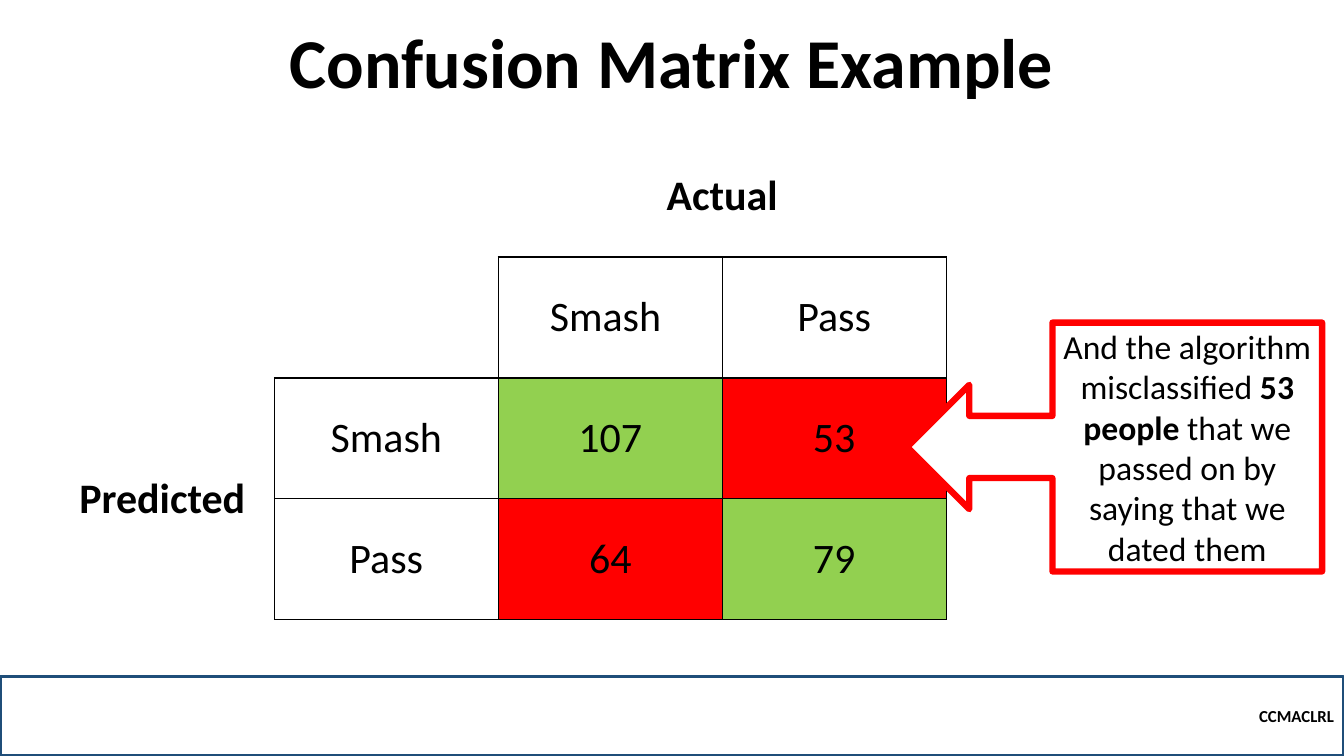
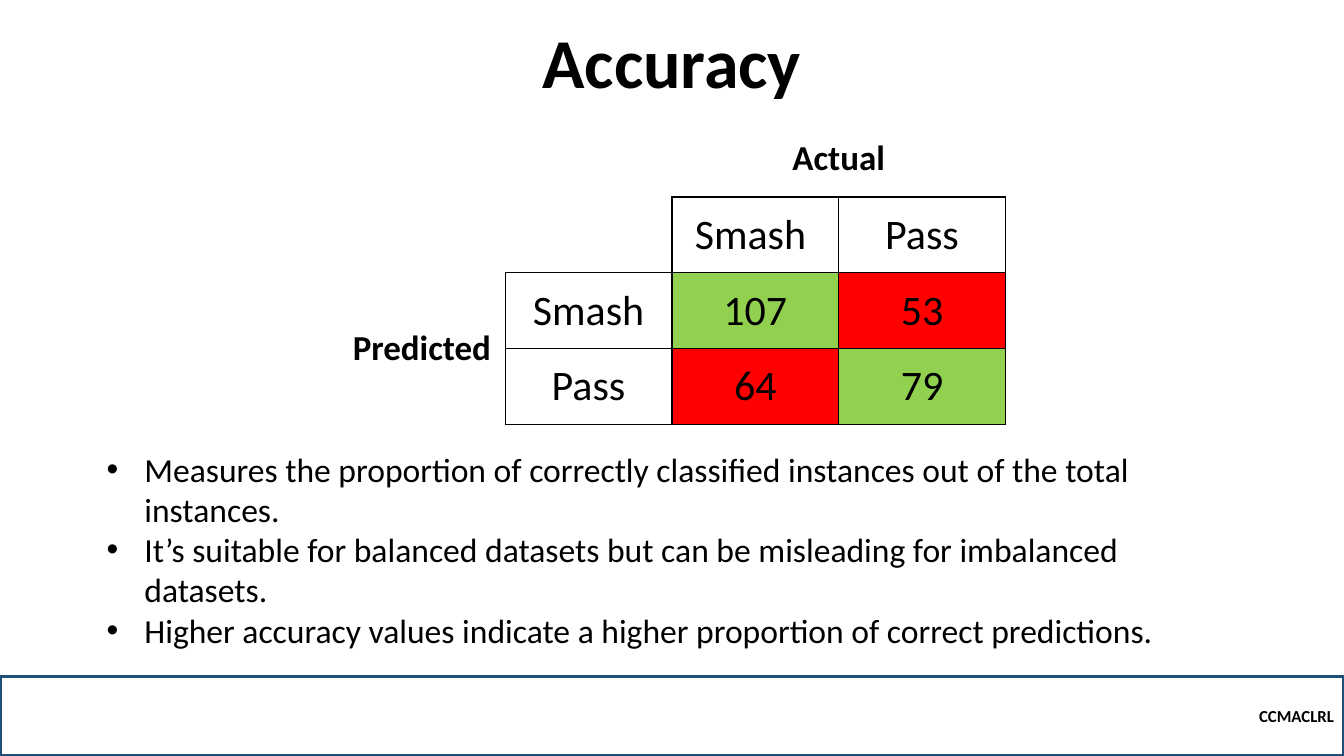
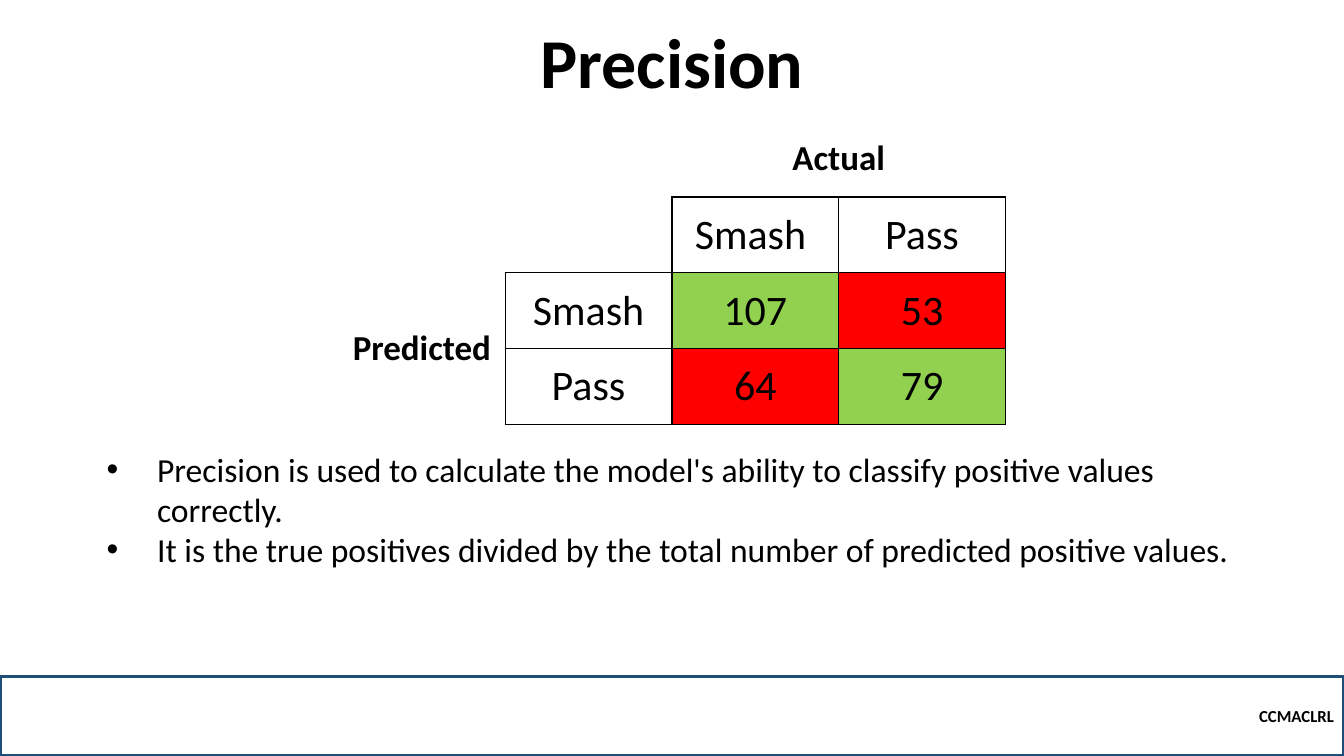
from dataclasses import dataclass

from lxml.etree import SubElement
from pptx import Presentation
from pptx.dml.color import RGBColor
from pptx.enum.shapes import MSO_SHAPE as SHAPE
from pptx.enum.text import MSO_ANCHOR as ANCHOR, MSO_AUTO_SIZE as AUTO, PP_ALIGN as ALIGN
from pptx.oxml import parse_xml
from pptx.oxml.ns import nsdecls, qn
from pptx.util import Cm, Pt

FONT = "Calibri"
COLORS = {
    "text": "000000",
    "white": "FFFFFF",
    "band": "1F4E79",
    "right": "92D050",
    "wrong": "FF0000",
}
SLIDE_W, SLIDE_H = 33.87, 19.05
BAND_TOP = 17.04
CELLS = [
    ["", "", "Actual", ""],
    ["", "", "Smash ", "Pass"],
    ["Predicted", "Smash", "107", "53"],
    ["", "Pass", "64", "79"],
]


@dataclass
class Box:
    """A rectangle in centimetres."""
    left: float
    top: float
    width: float
    height: float

    def lengths(self) -> list:
        return [Cm(v) for v in (self.left, self.top, self.width, self.height)]


@dataclass
class MatrixStyle:
    box: Box
    axis_size: int
    cell_size: int = 30


@dataclass
class Bullets:
    lines: list[str]
    indent: float
    height: float


LARGE = MatrixStyle(Box(1.27, 3.43, 22.58, 12.19), axis_size=30)
SMALL = MatrixStyle(Box(8.53, 3.05, 16.81, 7.65), axis_size=25)


def rgb(name: str) -> RGBColor:
    return RGBColor.from_string(COLORS[name])


def format_run(r, size: int, bold: bool = False) -> None:
    r.font.name, r.font.size, r.font.bold = FONT, Pt(size), bold
    r.font.color.rgb = rgb("text")


def write(p, text: str, size: int, bold: bool = False, align=ALIGN.CENTER) -> None:
    p.text = text
    p.alignment = align
    for r in p.runs:
        format_run(r, size, bold)


def add_outlined(s, kind, box: Box, line: str, width: float, fill: str = ""):
    sp = s.shapes.add_shape(kind, *box.lengths())
    sp.shadow.inherit = False
    if fill:
        sp.fill.solid()
        sp.fill.fore_color.rgb = rgb(fill)
    else:
        sp.fill.background()
    sp.line.color.rgb = rgb(line)
    sp.line.width = Pt(width)
    sp.text_frame.word_wrap = True
    return sp


def add_base_slide(prs, title: str):
    """Add a slide with the footer band and title that all slides share."""
    s = prs.slides.add_slide(prs.slide_layouts[6])
    band = add_outlined(s, SHAPE.RECTANGLE, Box(0, BAND_TOP, SLIDE_W, SLIDE_H - BAND_TOP), "band", 2.25)
    write(band.text_frame.paragraphs[0], "CCMACLRL", 12, True, ALIGN.RIGHT)

    tf = s.shapes.add_textbox(*Box(1.27, 0.74, 31.33, 2).lengths()).text_frame
    tf.word_wrap = True
    tf.vertical_anchor = ANCHOR.BOTTOM
    p = tf.paragraphs[0]
    write(p, title, 50, True)
    p.line_spacing = 0.9
    return s


def is_boxed(row: int, col: int) -> bool:
    return 1 <= row <= 3 and 1 <= col <= 3 and (row, col) != (1, 1)


def set_borders(cell, row: int, col: int) -> None:
    """Rule each edge that touches a boxed cell and clear the others."""
    neighbours = {"L": (row, col - 1), "R": (row, col + 1), "T": (row - 1, col), "B": (row + 1, col)}
    tc_pr = cell._tc.get_or_add_tcPr()
    for i, (side, other) in enumerate(neighbours.items()):
        ruled = is_boxed(row, col) or is_boxed(*other)
        fill = f'<a:solidFill><a:srgbClr val="{COLORS["text"]}"/></a:solidFill>' if ruled else "<a:noFill/>"
        tc_pr.insert(i, parse_xml(f'<a:ln{side} {nsdecls("a")} w="{Pt(1)}">{fill}</a:ln{side}>'))


def add_matrix(s, style: MatrixStyle) -> None:
    table = s.shapes.add_table(4, 4, *style.box.lengths()).table
    table.first_row = table.horz_banding = False
    table.cell(0, 2).merge(table.cell(0, 3))
    table.cell(2, 0).merge(table.cell(3, 0))
    for row, texts in enumerate(CELLS):
        for col, text in enumerate(texts):
            cell = table.cell(row, col)
            cell.vertical_anchor = ANCHOR.MIDDLE
            if row >= 2 and col >= 2:
                cell.fill.solid()
                cell.fill.fore_color.rgb = rgb("right" if row == col else "wrong")
            else:
                cell.fill.background()
            set_borders(cell, row, col)
            if text:
                axis = row == 0 or col == 0
                write(cell.text_frame.paragraphs[0], text, style.axis_size if axis else style.cell_size, axis)


def add_callout(s) -> None:
    sp = add_outlined(s, SHAPE.LEFT_ARROW_CALLOUT, Box(22.86, 8.13, 10.46, 6.27), "wrong", 4.5, "white")
    p = sp.text_frame.paragraphs[0]
    p.alignment = ALIGN.CENTER
    for text, bold in (
        ("And the algorithm misclassified ", False),
        ("53 people ", True),
        ("that we passed on by saying that we dated them", False),
    ):
        r = p.add_run()
        r.text = text
        format_run(r, 24, bold)


def add_bullets(s, bullets: Bullets) -> None:
    sp = add_outlined(s, SHAPE.RECTANGLE, Box(2.69, 11.3, 28.47, bullets.height), "white", 3)
    tf = sp.text_frame
    tf.auto_size = AUTO.SHAPE_TO_FIT_TEXT
    tf.vertical_anchor = ANCHOR.TOP
    tf.margin_left = tf.margin_right = tf.margin_top = tf.margin_bottom = 0
    for i, line in enumerate(bullets.lines):
        p = tf.add_paragraph() if i else tf.paragraphs[0]
        p_pr = p._p.get_or_add_pPr()
        p_pr.set("marL", str(Cm(bullets.indent)))
        p_pr.set("indent", str(-Cm(bullets.indent)))
        SubElement(p_pr, qn("a:buFont")).set("typeface", "Arial")
        SubElement(p_pr, qn("a:buChar")).set("char", "•")
        write(p, line, 24, align=ALIGN.LEFT)


def main() -> None:
    prs = Presentation()
    prs.slide_width, prs.slide_height = Cm(SLIDE_W), Cm(SLIDE_H)

    s = add_base_slide(prs, "Confusion Matrix Example")
    add_matrix(s, LARGE)
    add_callout(s)

    metrics = {
        "Accuracy": Bullets([
            "Measures the proportion of correctly classified instances out of the total instances.",
            "It’s suitable for balanced datasets but can be misleading for imbalanced datasets.",
            "Higher accuracy values indicate a higher proportion of correct predictions.",
        ], indent=0.95, height=5.13),
        "Precision": Bullets([
            "Precision is used to calculate the model's ability to classify positive values correctly.",
            "It is the true positives divided by the total number of predicted positive values.",
        ], indent=1.27, height=3.08),
    }
    for title, bullets in metrics.items():
        s = add_base_slide(prs, title)
        add_matrix(s, SMALL)
        add_bullets(s, bullets)

    prs.save("out.pptx")


if __name__ == "__main__":
    main()
